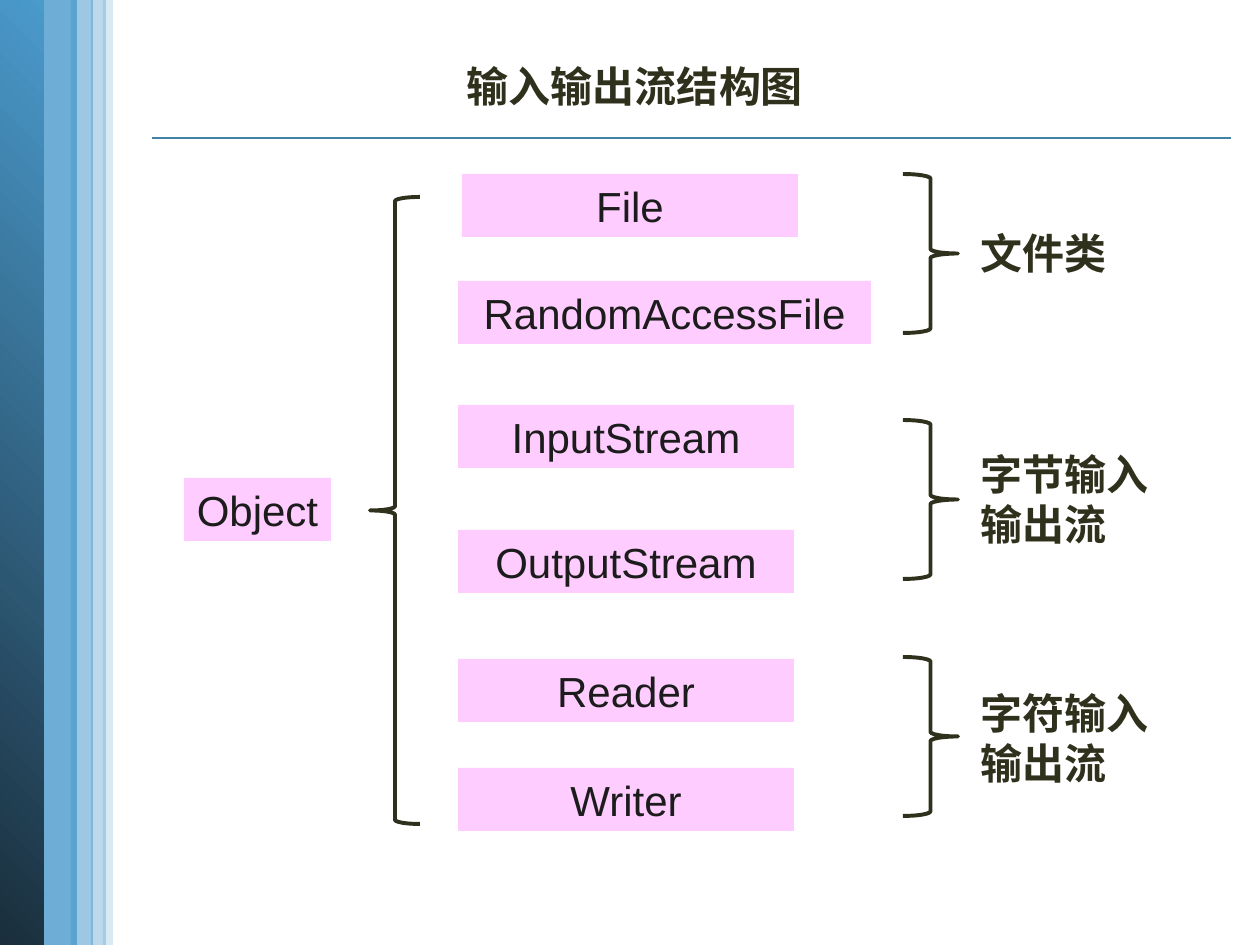
from lxml import etree
from pptx import Presentation
from pptx import util as u
from pptx.dml.color import RGBColor
from pptx.enum import shapes, text
from pptx.oxml.ns import qn

PX = u.Inches(1) // 126
FONT = "Arial"
COLORS = {
    "blue": "4A9ACC", "deep": "1A2E3C", "rule": "4582A7",
    "pink": "FFCCFF", "ink": "1C1C1C", "olive": "30311D",
}

TITLE = "输入输出流结构图"
# Translucent side bands: left, width, opacity in percent
BANDS = [(38, 39, 80), (103, 10, 20), (71, 22, 54), (91, 15, 37)]
# Class boxes: name, left, top, width
BOX_HEIGHT = 63
BOXES = [
    ("Object", 184, 478, 147),
    ("File", 462, 174, 336),
    ("RandomAccessFile", 458, 281, 413),
    ("InputStream", 458, 405, 336),
    ("OutputStream", 458, 530, 336),
    ("Reader", 458, 659, 336),
    ("Writer", 458, 768, 336),
]
# Groups: label lines, label top, brace top
GROUPS = [
    (["文件类"], 221, 174),
    (["字节输入", "输出流"], 442, 420),
    (["字符输入", "输出流"], 681, 657),
]

deck = Presentation()
deck.slide_width, deck.slide_height = u.Inches(10), u.Inches(7.5)
page = deck.slides.add_slide(deck.slide_layouts[6])


def color(name):
    return RGBColor.from_string(COLORS[name])


def px(*lengths):
    return [length * PX for length in lengths]


def add_shape(kind, left, top, width, height, fill=None):
    shape = page.shapes.add_shape(kind, *px(left, top, width, height))
    shape.shadow.inherit = False
    if fill:
        shape.fill.solid()
        shape.fill.fore_color.rgb = color(fill)
        shape.line.fill.background()
    return shape


def add_brace(kind, left, top, width, height):
    brace = add_shape(kind, left, top, width, height)
    brace.fill.background()
    brace.line.color.rgb = color("olive")
    brace.line.width = u.Pt(2.25)


def write(shape, lines, ink, bold=False, align=text.PP_ALIGN.LEFT, wrap=False):
    frame = shape.text_frame
    frame.text = "\n".join(lines)
    frame.word_wrap = wrap
    for para in frame.paragraphs:
        para.alignment = align
        for span in para.runs:
            span.font.name, span.font.size, span.font.bold = FONT, u.Pt(24), bold
            span.font.color.rgb = color(ink)
            east_asian = etree.SubElement(span.font._element, qn("a:ea"))
            east_asian.set("typeface", FONT)


# Rule under the title
rule = page.shapes.add_connector(shapes.MSO_CONNECTOR.STRAIGHT, *px(152, 138, 1231, 138))
rule.line.color.rgb = color("rule")
rule.line.width = u.Pt(1)
etree.SubElement(rule._element.spPr, qn("a:effectLst"))

# Side bands, with the gradient strip above the first one
RECT = shapes.MSO_SHAPE.RECTANGLE
for index, (left, width, opacity) in enumerate(BANDS):
    band = add_shape(RECT, left, 0, width, 945, "blue")
    tint = band._element.spPr.find(".//" + qn("a:srgbClr"))
    etree.SubElement(tint, qn("a:alpha")).set("val", str(opacity * 1000))
    if index == 0:
        strip = add_shape(RECT, 0, 0, 44, 945, "blue")
        strip.fill.gradient()
        strip.fill.gradient_angle = 45
        for stop, name in zip(strip.fill.gradient_stops, ("deep", "blue")):
            stop.color.rgb = color(name)

# Class boxes
for name, left, top, width in BOXES:
    box = add_shape(RECT, left, top, width, BOX_HEIGHT, "pink")
    write(box, [name], "ink", align=text.PP_ALIGN.CENTER)
    box.text_frame.vertical_anchor = text.MSO_ANCHOR.MIDDLE

# Braces and group labels
add_brace(shapes.MSO_SHAPE.LEFT_BRACE, 370, 197, 50, 627)
for lines, label_top, brace_top in GROUPS:
    add_brace(shapes.MSO_SHAPE.RIGHT_BRACE, 903, brace_top, 55, 159)
    label = page.shapes.add_textbox(*px(968, label_top, 196, 12 + 51 * len(lines)))
    write(label, lines, "olive", bold=True)

# Title
title = page.shapes.add_textbox(*px(131, 54, 1008, 63))
write(title, [TITLE], "olive", bold=True, align=text.PP_ALIGN.CENTER, wrap=True)

deck.save("out.pptx")
